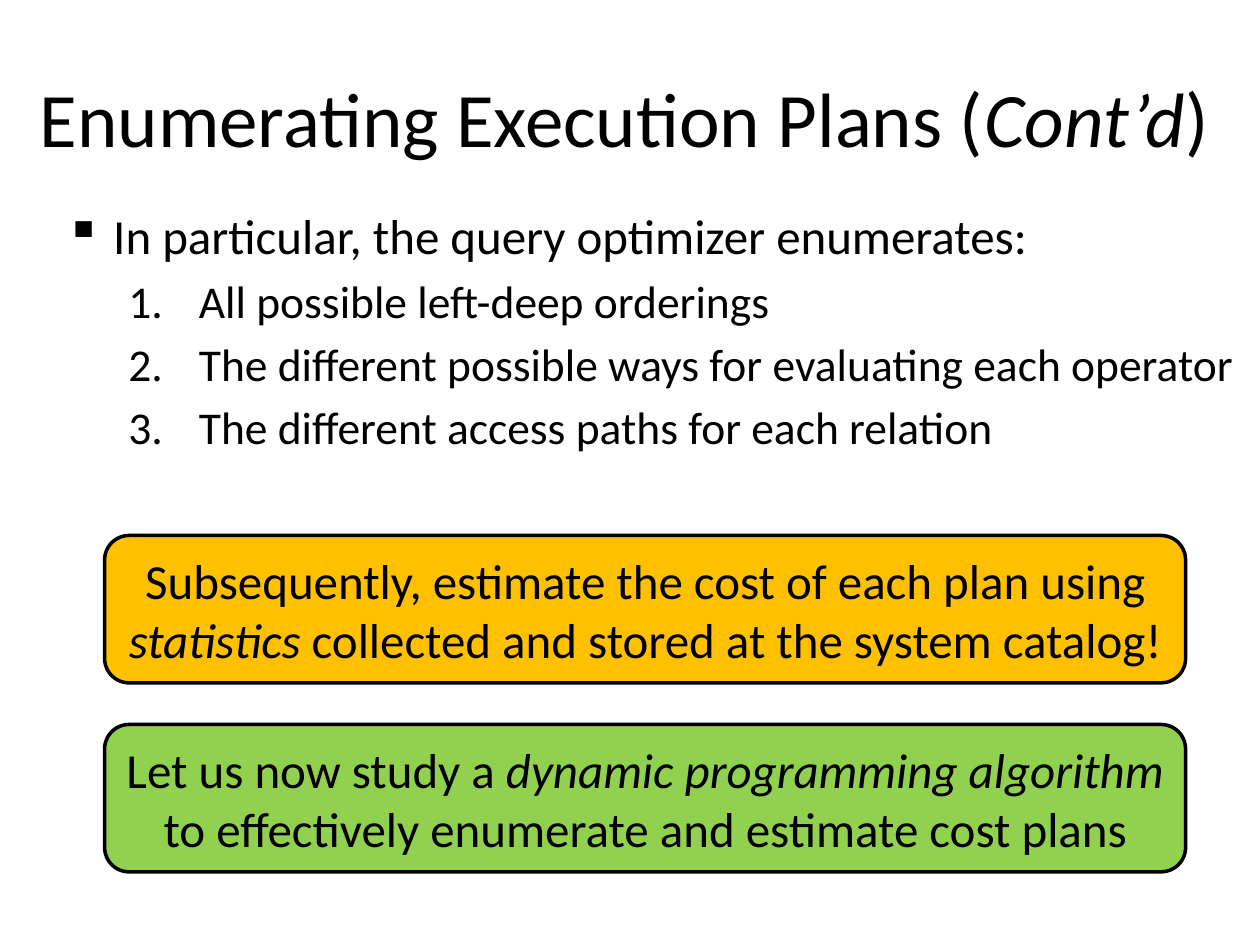
import pptx
import pptx.util
import pptx.dml.color
import pptx.enum.shapes
import pptx.enum.text
from lxml import etree

Inches, Pt = pptx.util.Inches, pptx.util.Pt
ALIGN, ANCHOR = pptx.enum.text.PP_ALIGN, pptx.enum.text.MSO_ANCHOR
FONT = "Calibri"
COLORS = {"ink": "000000", "amber": "FFC000", "green": "92D050"}

# Content: text parts are (text, italic)
TITLE = [("Enumerating Execution Plans (", False), ("Cont’d", True), (")", False)]
LEAD = "In particular, the query optimizer enumerates:"
STEPS = [
    "All possible left-deep orderings",
    "The different possible ways for evaluating each operator",
    "The different access paths for each relation",
]
CALLOUTS = [
    ("amber", [
        ("Subsequently, estimate the cost of each plan using ", False),
        ("statistics", True),
        (" collected and stored at the system catalog!", False),
    ]),
    ("green", [
        ("Let us now study a ", False),
        ("dynamic programming algorithm ", True),
        ("to effectively enumerate and estimate cost plans", False),
    ]),
]
CALLOUT_TOP, CALLOUT_PITCH = 4.25, 1.5


def rgb(name):
    return pptx.dml.color.RGBColor.from_string(COLORS[name])


def write(p, parts, size, align=ALIGN.LEFT):
    p.alignment = align
    p.font.name, p.font.size = FONT, Pt(size)
    p.font.color.rgb = rgb("ink")
    for text, italic in parts:
        r = p.add_run()
        r.text = text
        if italic:
            r.font.italic = True


def add_text_box(s, left, top, width, height, anchor):
    tf = s.shapes.add_textbox(*map(Inches, (left, top, width, height))).text_frame
    tf.word_wrap = True
    tf.vertical_anchor = anchor
    return tf


def set_bullet(p, left, hanging, tag, **attributes):
    pPr = p._p.get_or_add_pPr()
    pPr.set("marL", str(Inches(left)))
    pPr.set("indent", str(-Inches(hanging)))
    bullet = etree.Element(pptx.oxml.ns.qn(tag), **attributes)
    pPr.insert_element_before(bullet, "a:tabLst", "a:defRPr", "a:extLst")


prs = pptx.Presentation()
prs.slide_width, prs.slide_height = Inches(10), Inches(7.5)
s = prs.slides.add_slide(prs.slide_layouts[6])

# Title
tf = add_text_box(s, 0.08, 0.3, 9.75, 1.25, ANCHOR.MIDDLE)
write(tf.paragraphs[0], TITLE, 44, ALIGN.CENTER)

# Lead line and numbered steps
tf = add_text_box(s, 0.42, 1.58, 9.58, 2.4, ANCHOR.TOP)
p = tf.paragraphs[0]
write(p, [(LEAD, False)], 28)
p.space_before = Pt(5.6)
set_bullet(p, 0.38, 0.38, "a:buChar", char="▪")
for step in STEPS:
    p = tf.add_paragraph()
    p.level = 1
    write(p, [(step, False)], 26)
    p.space_before = Pt(5)
    set_bullet(p, 1.06, 0.56, "a:buAutoNum", type="arabicPeriod")

# Callouts
for i, (color, parts) in enumerate(CALLOUTS):
    box = s.shapes.add_shape(
        pptx.enum.shapes.MSO_SHAPE.ROUNDED_RECTANGLE,
        Inches(0.83), Inches(CALLOUT_TOP + i * CALLOUT_PITCH), Inches(8.58), Inches(1.17))
    box.shadow.inherit = False
    box.fill.solid()
    box.fill.fore_color.rgb = rgb(color)
    box.line.color.rgb = rgb("ink")
    box.line.width = Pt(2)
    tf = box.text_frame
    tf.word_wrap = True
    tf.vertical_anchor = ANCHOR.MIDDLE
    write(tf.paragraphs[0], parts, 28, ALIGN.CENTER)

prs.save("out.pptx")
